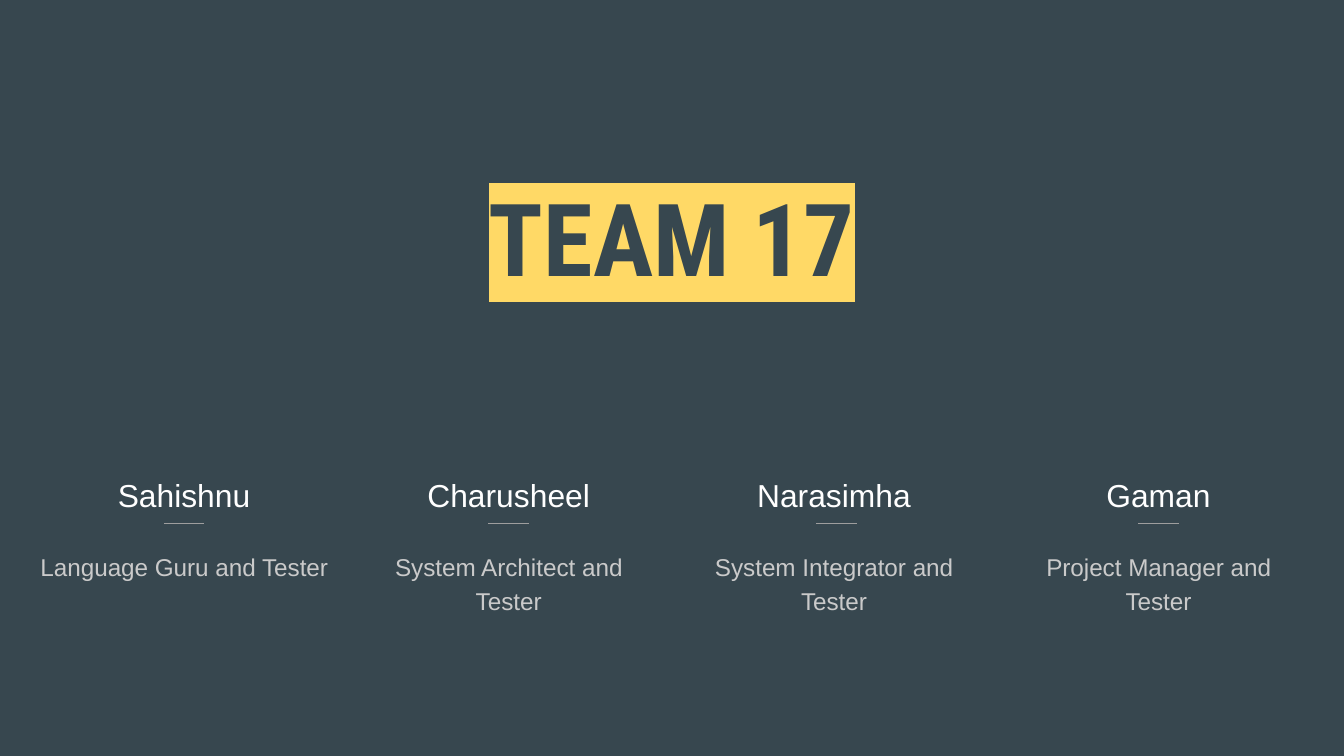
from dataclasses import dataclass

from lxml.etree import SubElement
from pptx import Presentation
from pptx.dml.color import RGBColor
from pptx.enum.shapes import MSO_CONNECTOR
from pptx.enum.text import MSO_ANCHOR, MSO_AUTO_SIZE, PP_ALIGN
from pptx.oxml.ns import qn
from pptx.util import Pt

PX = 4572


@dataclass(frozen=True)
class Theme:
    """Colours, fonts and type sizes of the slide."""
    back: str = "37474F"
    accent: str = "FFD966"
    name: str = "FFFFFF"
    role: str = "CACACA"
    rule: str = "9E9E9E"
    head_font: str = "Roboto Condensed"
    body_font: str = "Arial"
    title_size: int = 54
    name_size: int = 17
    role_size: int = 13
    line_width: float = 0.75


THEME = Theme()
MEMBERS = [
    ("Sahishnu", "Language Guru and Tester", 208),
    ("Charusheel", "System Architect and Tester", 208),
    ("Narasimha", "System Integrator and Tester", 212),
    ("Gaman", "Project Manager and Tester", 208),
]


def rgb(value):
    """Return a colour from its hex string."""
    return RGBColor.from_string(value)


def px(*values):
    """Turn px lengths into EMU."""
    return [v * PX for v in values]


def write(sp, text, *, size, color, font=THEME.body_font, bold=False,
          spacing=1.0, highlight=None):
    """Put one centred paragraph of formatted text in a shape."""
    tf = sp.text_frame
    tf.word_wrap = True
    tf.auto_size = MSO_AUTO_SIZE.NONE
    tf.vertical_anchor = MSO_ANCHOR.TOP
    tf.margin_left, tf.margin_top, tf.margin_right, tf.margin_bottom = px(20, 20, 20, 20)
    p = tf.paragraphs[0]
    p.alignment = PP_ALIGN.CENTER
    p.line_spacing = spacing
    r = p.add_run()
    r.text = text
    r.font.size = Pt(size)
    r.font.bold = bold
    r.font.name = font
    r.font.color.rgb = rgb(color)
    if highlight:
        rPr = r.font._element
        mark = SubElement(rPr, qn("a:highlight"))
        SubElement(mark, qn("a:srgbClr"), val=highlight)
        rPr.find(qn("a:solidFill")).addnext(mark)


def add_title(s, text, x, y, w, h):
    """Place the highlighted title in its box."""
    sp = s.shapes.title
    sp.left, sp.top, sp.width, sp.height = px(x, y, w, h)
    sp.fill.solid()
    sp.fill.fore_color.rgb = rgb(THEME.back)
    sp.line.color.rgb = rgb(THEME.back)
    sp.line.width = Pt(THEME.line_width)
    write(sp, text, size=THEME.title_size, color=THEME.back, font=THEME.head_font,
          bold=True, highlight=THEME.accent)


def add_rule(s, x, y, w):
    """Draw a short horizontal rule."""
    line = s.shapes.add_connector(MSO_CONNECTOR.STRAIGHT, *px(x, y, x + w, y))
    line.line.color.rgb = rgb(THEME.rule)
    line.line.width = Pt(THEME.line_width)
    SubElement(line._element.spPr, qn("a:effectLst"))


def add_member(s, name, role, rule_x, x, y, w, h):
    """Place one member's name, rule and role in a column."""
    name_h, rule_y, rule_w, role_y = 96, 99, 60, 116
    sp = s.shapes.add_textbox(*px(x, y, w, name_h))
    write(sp, name, size=THEME.name_size, color=THEME.name, spacing=1.15)
    add_rule(s, x + rule_x, y + rule_y, rule_w)
    sp = s.shapes.add_textbox(*px(x, y + role_y, w, h - role_y))
    write(sp, role, size=THEME.role_size, color=THEME.role, spacing=1.15)


def add_team(s, members, x, y, w, h):
    """Spread the members evenly over the box."""
    col_w = 476
    step = (w - col_w) / (len(members) - 1)
    for i, (name, role, rule_x) in enumerate(members):
        add_member(s, name, role, rule_x, x + round(i * step), y, col_w, h)


def main():
    """Build and save the slide."""
    prs = Presentation()
    prs.slide_width, prs.slide_height = px(2000, 1125)
    s = prs.slides.add_slide(prs.slide_layouts[5])
    s.background.fill.solid()
    s.background.fill.fore_color.rgb = rgb(THEME.back)
    add_title(s, "TEAM 17", 115, 242, 1770, 322)
    add_team(s, MEMBERS, 36, 680, 1926, 368)
    prs.save("out.pptx")


if __name__ == "__main__":
    main()
